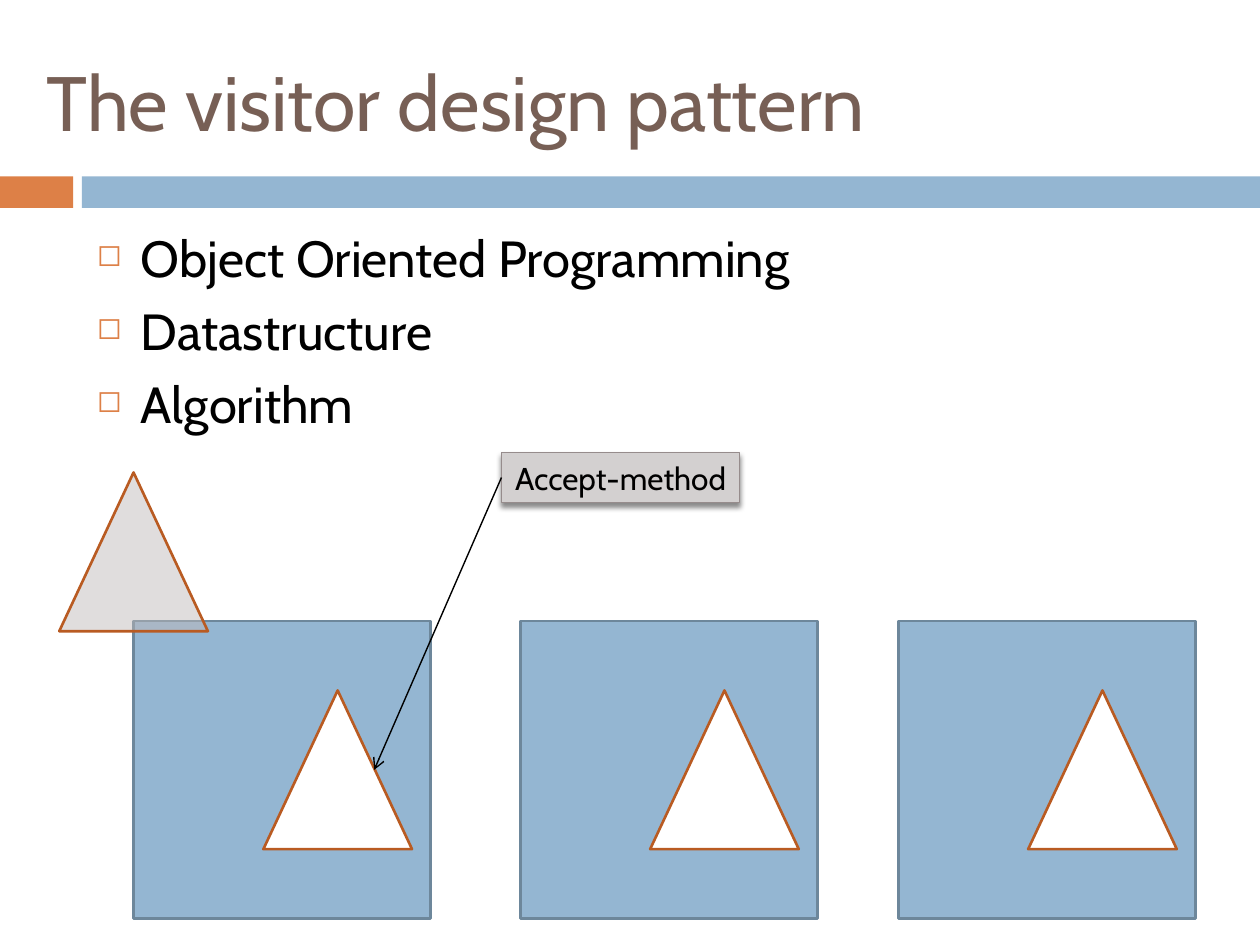
"""Build the slide on the visitor design pattern."""
from lxml import etree
from pptx import Presentation
from pptx.dml.color import RGBColor
from pptx.enum.shapes import MSO_CONNECTOR as CONN, MSO_SHAPE as SHAPE
from pptx.enum.text import MSO_ANCHOR as ANCHOR, PP_ALIGN as ALIGN
from pptx.oxml import parse_xml
from pptx.oxml.ns import nsdecls, qn
from pptx.util import Inches, Pt

ORANGE = RGBColor(0xDD, 0x80, 0x47)
BLUE = RGBColor(0x94, 0xB6, 0xD2)
BLUE_EDGE = RGBColor(0x6D, 0x87, 0x9B)
RUST = RGBColor(0xB9, 0x5B, 0x22)
BROWN = RGBColor(0x77, 0x5F, 0x55)
VISITOR_GRAY = RGBColor(0xC0, 0xBA, 0xBA)
LABEL_GRAY = RGBColor(0xD3, 0xD0, 0xD0)
LABEL_EDGE = RGBColor(0x96, 0x8C, 0x8C)
WHITE = RGBColor(0xFF, 0xFF, 0xFF)
BLACK = RGBColor(0, 0, 0)

prs = Presentation()
prs.slide_width, prs.slide_height = Inches(10), Inches(7.5)
s = prs.slides.add_slide(prs.slide_layouts[6])


def add_box(kind, box, fill, edge=None, width=1.5):
    sp = s.shapes.add_shape(kind, *map(Inches, box))
    sp.shadow.inherit = False
    sp.fill.solid()
    sp.fill.fore_color.rgb = fill
    if edge is None:
        sp.line.fill.background()
    else:
        sp.line.color.rgb = edge
        sp.line.width = Pt(width)
    return sp


def add_run(p, text, size, color):
    r = p.add_run()
    r.text = text
    for name, value in {"name": "Cabin", "size": Pt(size)}.items():
        setattr(r.font, name, value)
    r.font.color.rgb = color


add_box(SHAPE.RECTANGLE, (0, 1.4, 0.58, 0.25), ORANGE)
add_box(SHAPE.RECTANGLE, (0.65, 1.4, 9.35, 0.25), BLUE)

title = s.shapes.add_textbox(Inches(0.27), Inches(0.21), Inches(9.45), Inches(1.18))
tf = title.text_frame
tf.word_wrap = True
tf.vertical_anchor = ANCHOR.MIDDLE
add_run(tf.paragraphs[0], "The visitor design pattern", 44, BROWN)

body = s.shapes.add_textbox(Inches(0.67), Inches(1.75), Inches(8.92), Inches(4.92))
tf = body.text_frame
tf.word_wrap = True
for i, text in enumerate(["Object Oriented Programming", "Datastructure", "Algorithm"]):
    p = tf.add_paragraph() if i else tf.paragraphs[0]
    p.space_before = Pt(7)
    add_run(p, text, 29, BLACK)
    pPr = p._p.get_or_add_pPr()
    pPr.set("marL", str(Inches(0.35)))
    pPr.set("indent", str(Inches(-0.35)))
    color = etree.SubElement(pPr, qn("a:buClr"))
    etree.SubElement(color, qn("a:srgbClr"), val=str(ORANGE))
    etree.SubElement(pPr, qn("a:buSzPct"), val="60000")
    etree.SubElement(pPr, qn("a:buChar"), char="◻")

for x in (1.06, 4.13, 7.13):
    add_box(SHAPE.RECTANGLE, (x, 4.93, 2.36, 2.36), BLUE, BLUE_EDGE)
    add_box(SHAPE.ISOSCELES_TRIANGLE, (x + 1.03, 5.48, 1.18, 1.26), WHITE, RUST)

visitor = add_box(SHAPE.ISOSCELES_TRIANGLE, (0.47, 3.75, 1.18, 1.26), VISITOR_GRAY, RUST)
color = visitor.fill._xPr.find(qn("a:solidFill"))[0]
etree.SubElement(color, qn("a:alpha"), val="48000")

label = add_box(SHAPE.RECTANGLE, (3.98, 3.59, 1.89, 0.4), LABEL_GRAY, LABEL_EDGE, 0.79)
effects = label._element.spPr.find(qn("a:effectLst"))
effects.append(parse_xml(
    f'<a:outerShdw {nsdecls("a")} blurRad="{Pt(3)}" dist="{Pt(2.4)}" dir="5400000" '
    'rotWithShape="0"><a:srgbClr val="000000"><a:alpha val="45000"/></a:srgbClr></a:outerShdw>'))
tf = label.text_frame
tf.word_wrap = True
tf.vertical_anchor = ANCHOR.MIDDLE
p = tf.paragraphs[0]
p.alignment = ALIGN.CENTER
add_run(p, "Accept-method", 18, BLACK)

arrow = s.shapes.add_connector(
    CONN.STRAIGHT, Inches(3.98), Inches(3.79), Inches(2.97), Inches(6.11))
arrow.begin_connect(label, 1)
arrow.line.color.rgb = BLACK
arrow.line.width = Pt(0.79)
etree.SubElement(arrow.line._get_or_add_ln(), qn("a:tailEnd"), type="arrow")
etree.SubElement(arrow._element.spPr, qn("a:effectLst"))

prs.save("out.pptx")
